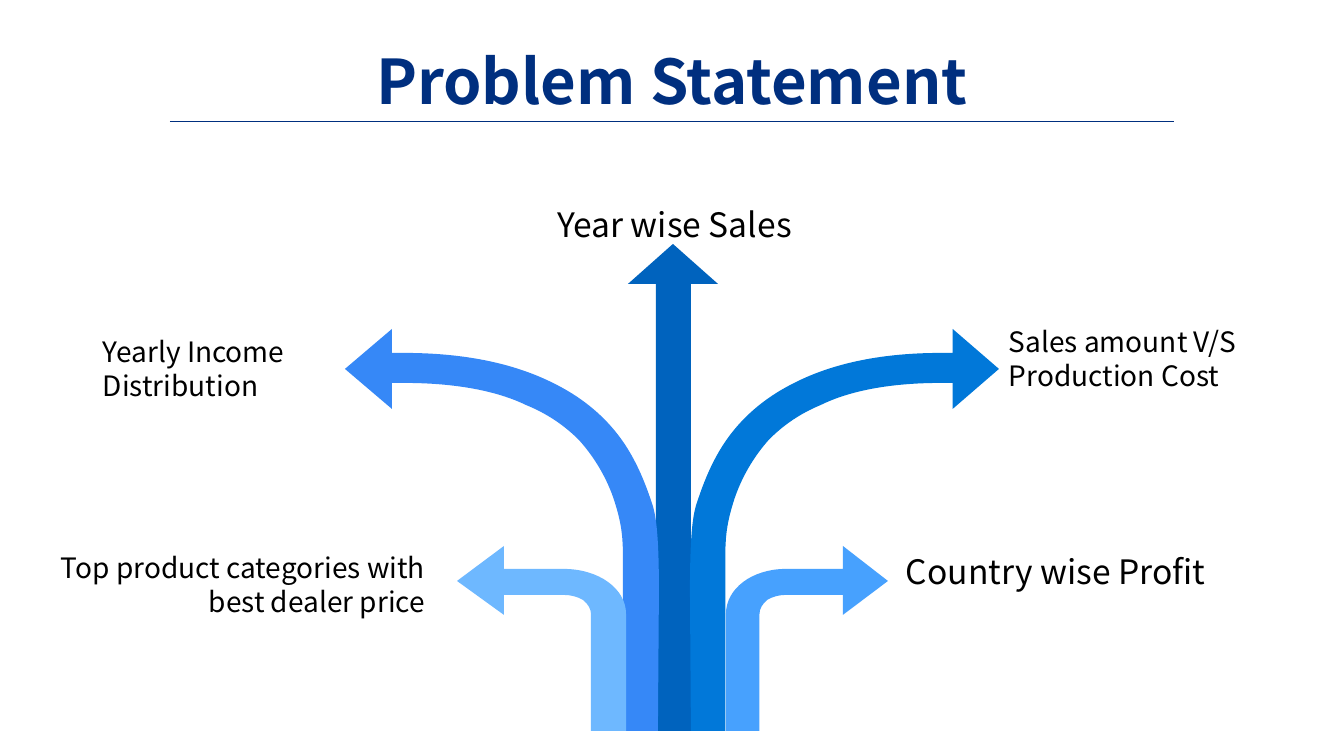
from dataclasses import dataclass

from lxml.etree import SubElement
from pptx import Presentation
from pptx.dml.color import RGBColor
from pptx.enum.shapes import MSO_CONNECTOR
from pptx.enum.text import MSO_ANCHOR, MSO_AUTO_SIZE, PP_ALIGN
from pptx.oxml.ns import qn
from pptx.util import Pt

SCALE = 914400 / 100.8  # EMU in one px


@dataclass(frozen=True)
class Theme:
    font: str = "Noto Sans CJK SC"
    navy: str = "002F7F"
    text: str = "000000"
    centre: str = "0063BE"
    upper_left: str = "3688F7"
    upper_right: str = "0178D9"
    lower_left: str = "6EB8FF"
    lower_right: str = "47A1FE"
    title_size: int = 44
    large: int = 24
    small: int = 20
    rule_width: float = 0.5


THEME = Theme()
TITLE = "Problem Statement"
TITLE_BOX = (93, 12, 1158, 146)
RULE = (170, 121, 1174, 121)

# Outlines start at the left and top edge of the arrow, in px.
# Two numbers are a corner, six are a cubic curve.
STRAIGHT = [
    (90, 40), (45, 0), (0, 40), (28, 40), (28, 487), (63, 487), (63, 40),
]
WIDE_BEND = [
    (47, 0), (0, 40), (47, 80), (47, 54), (59, 54),
    (111, 54, 152, 62, 181, 76), (203, 85, 220, 97, 234, 111),
    (253, 132, 265, 156, 271, 177), (277, 197, 278, 210, 278, 227),
    (278, 402), (313, 402), (314, 262),
    (314, 205, 311, 188, 308, 177), (303, 162, 297, 145, 287, 127),
    (272, 100, 248, 74, 210, 55), (173, 36, 124, 24, 59, 24), (47, 24),
]
TIGHT_BEND = [
    (47, 0), (0, 35), (47, 69), (47, 49), (107, 49),
    (114, 49, 121, 51, 126, 54), (131, 58, 134, 63, 134, 68),
    (134, 185), (169, 185), (169, 68),
    (169, 55, 162, 44, 151, 36), (140, 28, 124, 23, 107, 23), (47, 23),
]

# outline, left, top, width, mirrored, colour
ARROWS = [
    (STRAIGHT, 628, 244, 90, False, THEME.centre),
    (WIDE_BEND, 345, 329, 314, False, THEME.upper_left),
    (WIDE_BEND, 690, 329, 309, True, THEME.upper_right),
    (TIGHT_BEND, 457, 546, 169, False, THEME.lower_left),
    (TIGHT_BEND, 726, 546, 162, True, THEME.lower_right),
]

# text, box, size, alignment, wrap
LABELS = [
    ("Sales amount V/S Production Cost", (999, 320, 282, 112),
     THEME.small, PP_ALIGN.LEFT, True),
    ("Country wise Profit", (896, 546, 327, 92),
     THEME.large, PP_ALIGN.LEFT, False),
    ("Top product categories with\nbest dealer price", (189, 546, 246, 102),
     THEME.small, PP_ALIGN.RIGHT, False),
    ("Year wise Sales", (545, 199, 259, 92),
     THEME.large, PP_ALIGN.CENTER, False),
    ("Yearly Income Distribution", (93, 330, 239, 78),
     THEME.small, PP_ALIGN.LEFT, True),
]


def emu(*lengths):
    return [round(length * SCALE) for length in lengths]


def format_text(frame, size, colour, align, bold=False):
    frame.auto_size = MSO_AUTO_SIZE.NONE
    for paragraph in frame.paragraphs:
        paragraph.alignment = align
        for run in paragraph.runs:
            run.font.name = THEME.font
            run.font.size = Pt(size)
            run.font.bold = bold
            run.font.color.rgb = RGBColor.from_string(colour)


def bend_segments(arrow, outline):
    """Join each three lines that stand for a curve into one cubic segment."""
    lines = iter(list(arrow._element.iter(qn("a:lnTo"))))
    for step in outline[1:]:
        curve = next(lines)
        if len(step) == 6:
            curve.tag = qn("a:cubicBezTo")
            for _ in range(2):
                line = next(lines)
                curve.append(line[0])
                line.getparent().remove(line)


def add_arrow(slide, outline, left, top, width, mirrored, colour):
    points = [step[i:i + 2] for step in outline for i in range(0, len(step), 2)]
    stretch = width / max(x for x, _ in points)
    placed = []
    for x, y in points:
        across = x * stretch
        placed.append(emu(left + (width - across if mirrored else across), top + y))
    builder = slide.shapes.build_freeform(*placed[0], scale=1.0)
    builder.add_line_segments(placed[1:], close=True)
    arrow = builder.convert_to_shape()
    bend_segments(arrow, outline)
    arrow.shadow.inherit = False
    arrow.fill.solid()
    arrow.fill.fore_color.rgb = RGBColor.from_string(colour)
    arrow.line.fill.background()


def add_label(slide, text, box, size, align, wrap):
    frame = slide.shapes.add_textbox(*emu(*box)).text_frame
    frame.text = text
    frame.word_wrap = wrap
    format_text(frame, size, THEME.text, align)


def add_title(slide):
    title = slide.shapes.title
    title.left, title.top, title.width, title.height = emu(*TITLE_BOX)
    frame = title.text_frame
    frame.text = TITLE
    frame.word_wrap = True
    frame.vertical_anchor = MSO_ANCHOR.MIDDLE
    frame.paragraphs[0].line_spacing = 0.9
    format_text(frame, THEME.title_size, THEME.navy, PP_ALIGN.CENTER, bold=True)


def add_rule(slide):
    rule = slide.shapes.add_connector(MSO_CONNECTOR.STRAIGHT, *emu(*RULE))
    rule.line.color.rgb = RGBColor.from_string(THEME.navy)
    rule.line.width = Pt(THEME.rule_width)
    SubElement(rule._element.spPr, qn("a:effectLst"))


def main():
    deck = Presentation()
    deck.slide_width, deck.slide_height = emu(1344, 756)
    slide = deck.slides.add_slide(deck.slide_layouts[5])
    add_rule(slide)
    add_title(slide)
    for arrow in ARROWS:
        add_arrow(slide, *arrow)
    for label in LABELS:
        add_label(slide, *label)
    deck.save("out.pptx")


if __name__ == "__main__":
    main()
